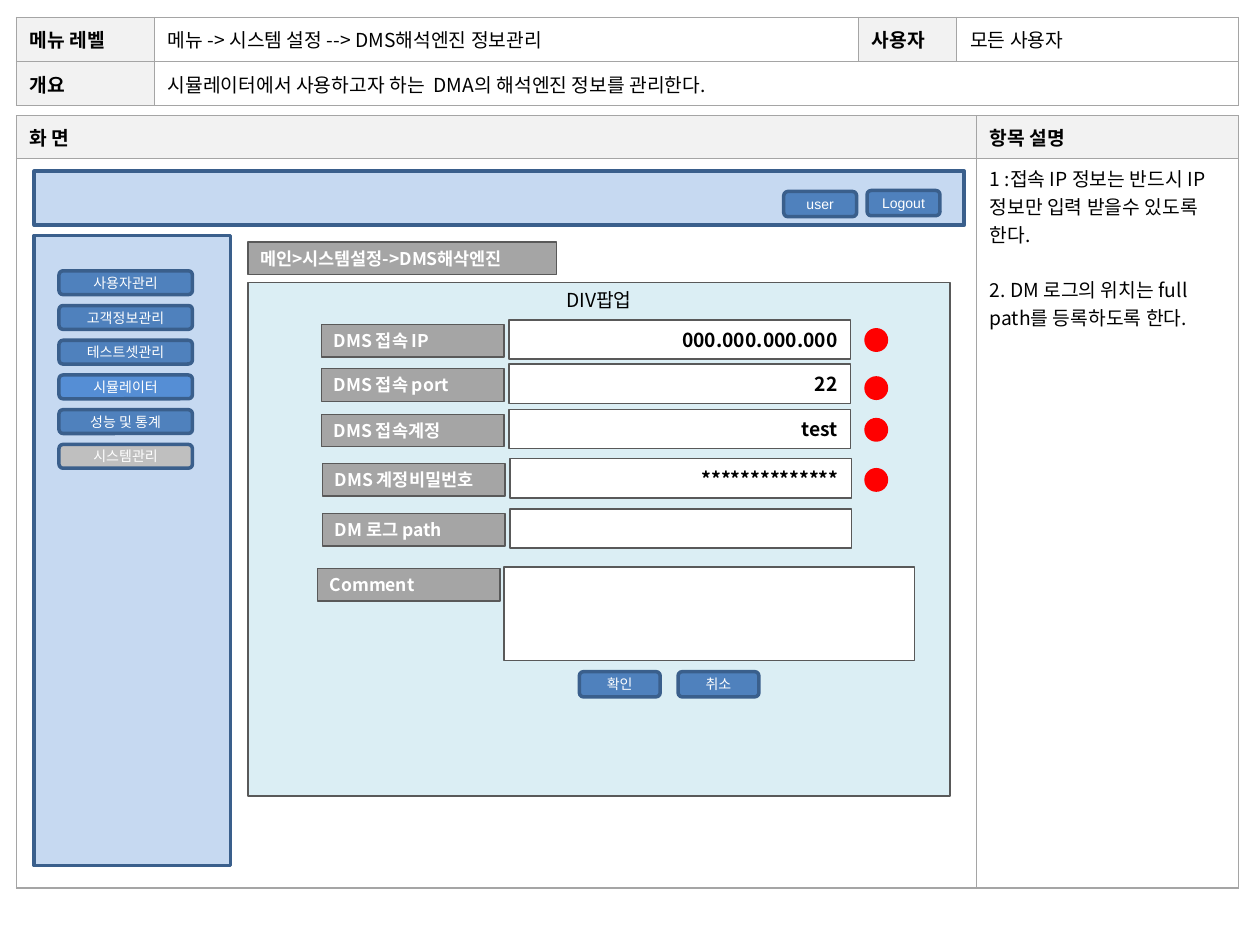
from dataclasses import dataclass
from typing import NamedTuple, Optional

from lxml import etree
from pptx import Presentation
from pptx import util as u
from pptx.dml.color import RGBColor
from pptx.enum import shapes, text
from pptx.oxml.ns import qn


@dataclass(frozen=True)
class Theme:
    korean: str = "Noto Sans CJK KR"
    latin: str = "Arial"
    body: float = 11
    label: float = 10
    button: float = 8
    thin: float = 0.75
    thick: float = 2
    black: str = "000000"
    white: str = "FFFFFF"
    header: str = "F2F2F2"
    grid: str = "A5A5A5"
    gray: str = "A5A5A5"
    outline: str = "595959"
    frame: str = "C6D9F1"
    navy: str = "3A5F8C"
    blue: str = "4F81BD"
    active: str = "558ED5"
    disabled: str = "BFBFBF"
    popup: str = "DBEEF4"
    red: str = "FF0000"


THEME = Theme()
RECT = shapes.MSO_SHAPE.RECTANGLE
ROUND = shapes.MSO_SHAPE.ROUNDED_RECTANGLE
OVAL = shapes.MSO_SHAPE.OVAL
LEFT, CENTER, RIGHT = text.PP_ALIGN.LEFT, text.PP_ALIGN.CENTER, text.PP_ALIGN.RIGHT
MIDDLE, TOP = text.MSO_ANCHOR.MIDDLE, text.MSO_ANCHOR.TOP


class Area(NamedTuple):
    """Left, top, width and height in centimetres."""
    left: float
    top: float
    width: float
    height: float


class Words(NamedTuple):
    content: str
    size: float = THEME.body
    color: str = THEME.black
    bold: bool = False
    align: text.PP_ALIGN = LEFT
    font: str = THEME.korean
    anchor: text.MSO_ANCHOR = MIDDLE


class Cell(NamedTuple):
    lines: tuple[str, ...] = ()
    heading: bool = False
    anchor: text.MSO_ANCHOR = MIDDLE


class Field(NamedTuple):
    label: str
    value: str
    left: float
    top: float
    dot_top: Optional[float] = None


def color(code: str) -> RGBColor:
    return RGBColor.from_string(code)


def write(para, words: Words) -> None:
    para.text = words.content
    para.alignment = words.align
    font = para.font
    font.name, font.size, font.bold = words.font, u.Pt(words.size), words.bold
    font.color.rgb = color(words.color)
    if words.font == THEME.korean:
        east_asian = etree.Element(qn("a:ea"), typeface=words.font)
        para._p.pPr.find(qn("a:defRPr")).find(qn("a:latin")).addnext(east_asian)


def add_box(page, kind, area: Area, fill: str, line: str, weight: float,
            words: Optional[Words] = None, inset: float = 0.25) -> None:
    box = page.shapes.add_shape(kind, *map(u.Cm, area))
    box.shadow.inherit = False
    box.fill.solid()
    box.fill.fore_color.rgb = color(fill)
    box.line.color.rgb = color(line)
    box.line.width = u.Pt(weight)
    if words:
        frame = box.text_frame
        frame.word_wrap = True
        frame.vertical_anchor = words.anchor
        frame.margin_left = frame.margin_right = u.Cm(inset)
        frame.margin_top = frame.margin_bottom = u.Cm(inset / 2)
        write(frame.paragraphs[0], words)


def add_button(page, area: Area, caption: str, fill: str = THEME.blue) -> None:
    words = Words(caption, THEME.button, THEME.white, align=CENTER, font=THEME.latin)
    add_box(page, ROUND, area, fill, THEME.navy, THEME.thick, words, inset=0)


def add_label(page, area: Area, caption: str) -> None:
    words = Words(caption, THEME.label, THEME.white, bold=True)
    add_box(page, RECT, area, THEME.gray, THEME.outline, THEME.thin, words)


def add_input(page, area: Area, value: str = "") -> None:
    words = Words(value, bold=True, align=RIGHT) if value else None
    add_box(page, RECT, area, THEME.white, THEME.outline, THEME.thin, words)


def border_cell(cell) -> None:
    properties = cell._tc.get_or_add_tcPr()
    for position, side in enumerate(("lnL", "lnR", "lnT", "lnB")):
        line = etree.Element(qn(f"a:{side}"), w=str(u.Pt(THEME.thin)))
        fill = etree.SubElement(line, qn("a:solidFill"))
        etree.SubElement(fill, qn("a:srgbClr"), val=THEME.grid)
        properties.insert(position, line)


def add_grid(page, left: float, top: float, widths: list[float],
             heights: list[float], rows: list[list[Cell]]):
    area = Area(left, top, sum(widths), sum(heights))
    table = page.shapes.add_table(len(heights), len(widths), *map(u.Cm, area)).table
    for column, width in zip(table.columns, widths):
        column.width = u.Cm(width)
    for row, height, contents in zip(table.rows, heights, rows):
        row.height = u.Cm(height)
        for cell, content in zip(row.cells, contents):
            cell.fill.solid()
            cell.fill.fore_color.rgb = color(THEME.header if content.heading else THEME.white)
            cell.vertical_anchor = content.anchor
            cell.margin_left = cell.margin_right = u.Cm(0.27)
            cell.margin_top = cell.margin_bottom = u.Cm(0.1)
            for index, line in enumerate(content.lines):
                frame = cell.text_frame
                para = frame.add_paragraph() if index else frame.paragraphs[0]
                write(para, Words(line, bold=content.heading))
                if index:
                    para.space_before = u.Pt(16)
            border_cell(cell)
    return table


def main() -> None:
    deck = Presentation()
    deck.slide_width, deck.slide_height = u.Cm(25.4), u.Cm(19.05)
    page = deck.slides.add_slide(deck.slide_layouts[6])

    # Screen summary
    summary = add_grid(page, 0.33, 0.35, [2.78, 14.19, 1.99, 5.67], [0.89, 0.89], [
        [Cell(("메뉴 레벨",), True), Cell(("메뉴 -> 시스템 설정 --> DMS해석엔진 정보관리",)),
         Cell(("사용자",), True), Cell(("모든 사용자",))],
        [Cell(("개요",), True),
         Cell(("시뮬레이터에서 사용하고자 하는  DMA의 해석엔진 정보를 관리한다.",)), Cell(), Cell()],
    ])
    summary.cell(1, 1).merge(summary.cell(1, 3))

    # Screen area and item notes
    notes = ("1 :접속 IP 정보는 반드시 IP정보만 입력 받을수 있도록 한다.",
             "2. DM 로그의 위치는 full path를 등록하도록 한다.")
    add_grid(page, 0.33, 2.33, [19.35, 5.28], [0.87, 14.7], [
        [Cell(("화 면",), True), Cell(("항목 설명",), True)],
        [Cell(), Cell(notes, anchor=TOP)],
    ])

    # Top bar and side bar
    for area in (Area(0.69, 3.45, 18.75, 1.09), Area(0.69, 4.75, 3.96, 12.7)):
        add_box(page, RECT, area, THEME.frame, THEME.navy, THEME.thick)
    add_button(page, Area(17.48, 3.84, 1.47, 0.51), "Logout")
    add_button(page, Area(15.8, 3.86, 1.47, 0.51), "user")

    # Side menu
    menu = [("사용자관리", THEME.blue), ("고객정보관리", THEME.blue),
            ("테스트셋관리", THEME.blue), ("시뮬레이터", THEME.active),
            ("성능 및 통계", THEME.blue), ("시스템관리", THEME.disabled)]
    for index, (caption, fill) in enumerate(menu):
        add_button(page, Area(1.19, 5.46 + 0.7 * index, 2.69, 0.48), caption, fill)

    # Breadcrumb and popup
    add_label(page, Area(5, 4.88, 6.22, 0.66), "메인>시스템설정->DMS해삭엔진")
    add_box(page, RECT, Area(5, 5.69, 14.15, 10.36), THEME.popup, THEME.outline,
            THEME.thin, Words("DIV팝업", align=CENTER, anchor=TOP))
    for left, caption in ((11.68, "확인"), (13.67, "취소")):
        add_button(page, Area(left, 13.54, 1.63, 0.51), caption)

    # Form fields with their markers
    fields = [
        Field("DMS 접속 IP", "000.000.000.000", 6.48, 6.45, 6.65),
        Field("DMS 접속 port", "22", 6.48, 7.34, 7.62),
        Field("DMS 접속계정", "test", 6.48, 8.26, 8.46),
        Field("DMS 계정비밀번호", "**************", 6.5, 9.25, 9.47),
        Field("DM 로그 path", "", 6.5, 10.26),
    ]
    for field in fields:
        add_label(page, Area(field.left, field.top + 0.09, 3.68, 0.66), field.label)
        add_input(page, Area(field.left + 3.78, field.top, 6.88, 0.79), field.value)
        if field.dot_top is not None:
            add_box(page, OVAL, Area(17.46, field.dot_top, 0.41, 0.41),
                    THEME.red, THEME.red, THEME.thick)

    # Comment
    add_label(page, Area(6.4, 11.46, 3.68, 0.66), "Comment")
    add_input(page, Area(10.16, 11.43, 8.28, 1.88))

    deck.save("out.pptx")


if __name__ == "__main__":
    main()
